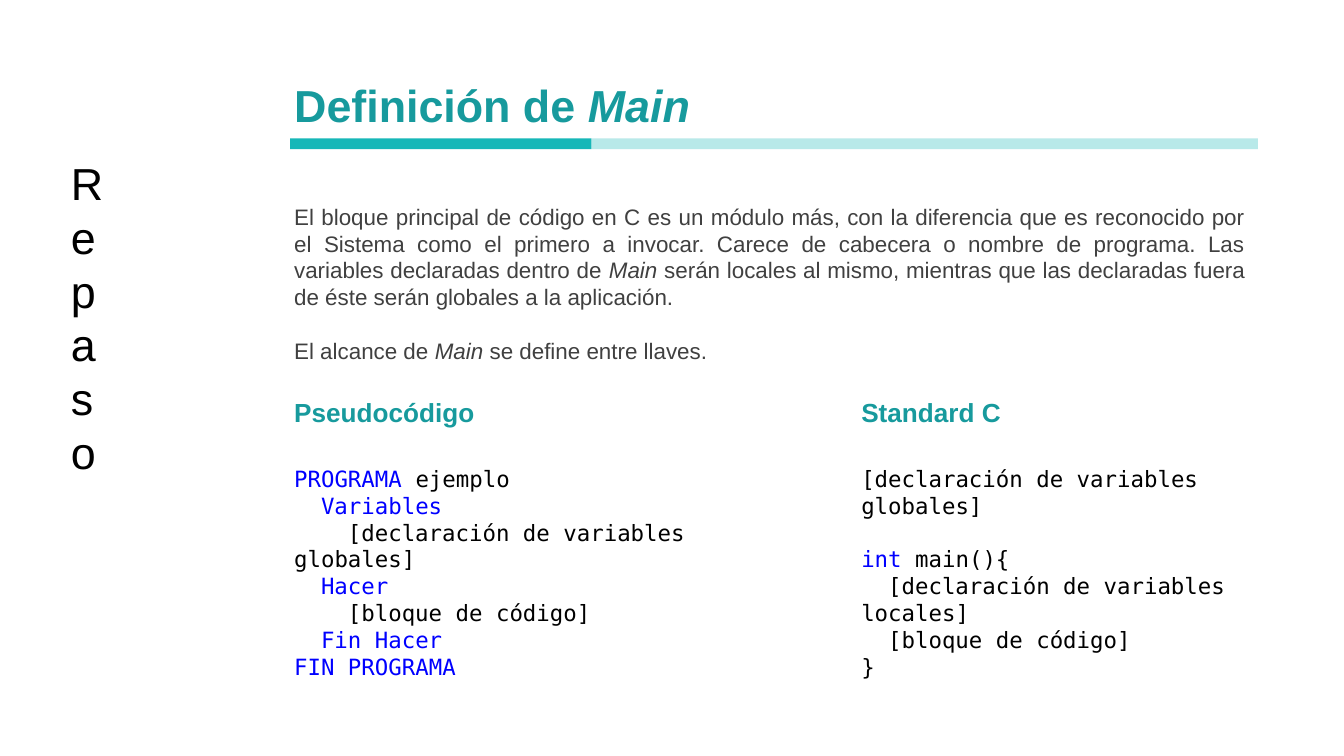
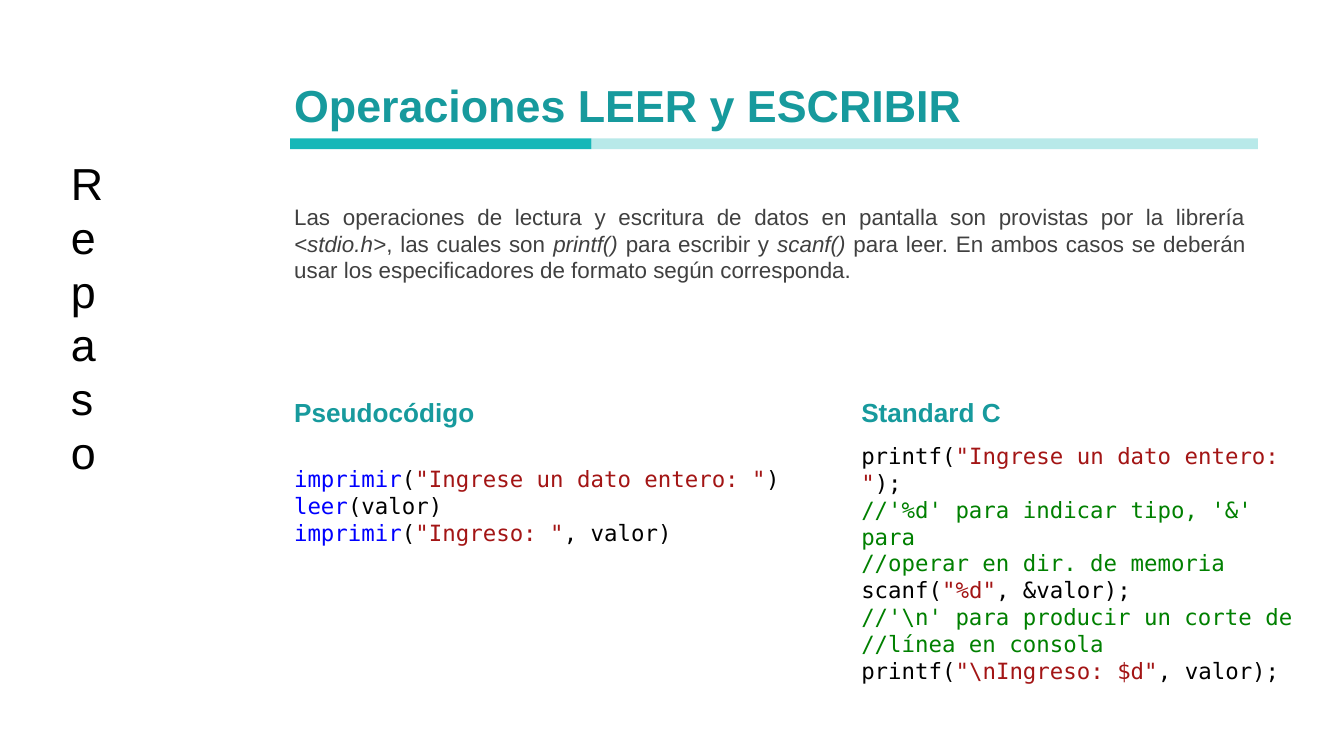
from pptx import Presentation
from pptx.dml.color import RGBColor
from pptx.enum.shapes import MSO_SHAPE
from pptx.enum.text import MSO_AUTO_SIZE, PP_ALIGN
from pptx.oxml.ns import qn
from pptx.util import Inches, Pt
from lxml import etree

COLORS = {
    "background": "FFFFFF",
    "bar": "16B7B8",
    "heading": "179A9D",
    "prose": "404040",
    "plain": "000000",
    "keyword": "0000FF",
    "string": "A31515",
    "comment": "008000",
}
SANS = "Arial"
MONO = "DejaVu Sans Mono"
LINE_FACTOR = 1.2
INDENT_STEP = 0.2

SECTION = "Repaso"
LEFT, RIGHT = 2.09, 6.31
WIDE = 7.28
BARS = [(2.24, None), (4.96, 30)]

SLIDES = [
    {
        "title": [("heading", "Definición de "), ("italic", "Main")],
        "prose": [
            [
                ("prose", "El bloque principal de código en C es un módulo más, con la "
                          "diferencia que es reconocido por el Sistema como el primero a "
                          "invocar. Carece de cabecera o nombre de programa. Las variables "
                          "declaradas dentro de "),
                ("italic", "Main"),
                ("prose", " serán locales al mismo, mientras que las declaradas fuera de "
                          "éste serán globales a la aplicación."),
            ],
            [("prose", "El alcance de "), ("italic", "Main"),
             ("prose", " se define entre llaves.")],
        ],
        "prose_height": 1.31,
        "code": [
            {
                "heading": "Pseudocódigo",
                "box": (LEFT, 3.41, 4.02, 1.51),
                "lines": [
                    (0, [("keyword", "PROGRAMA "), ("plain", "ejemplo")]),
                    (1, [("keyword", "Variables")]),
                    (2, [("plain", "[declaración de variables globales]")]),
                    (1, [("keyword", "Hacer")]),
                    (2, [("plain", "[bloque de código]")]),
                    (1, [("keyword", "Fin Hacer")]),
                    (0, [("keyword", "FIN PROGRAMA")]),
                ],
            },
            {
                "heading": "Standard C",
                "box": (RIGHT, 3.41, 3.52, 1.31),
                "gap_before": 1,
                "lines": [
                    (0, [("plain", "[declaración de variables globales]")]),
                    (0, [("keyword", "int "), ("plain", "main(){")]),
                    (1, [("plain", "[declaración de variables locales]")]),
                    (1, [("plain", "[bloque de código]")]),
                    (0, [("plain", "}")]),
                ],
            },
        ],
    },
    {
        "title": [("heading", "Operaciones LEER y ESCRIBIR")],
        "prose": [
            [
                ("prose", "Las operaciones de lectura y escritura de datos en pantalla son "
                          "provistas por la librería "),
                ("italic", "<stdio.h>"),
                ("prose", ", las cuales son "),
                ("italic", "printf() "),
                ("prose", "para escribir y "),
                ("italic", "scanf()"),
                ("prose", " para leer. En ambos casos se deberán usar los especificadores "
                          "de formato según corresponda."),
            ],
        ],
        "prose_height": 0.71,
        "code": [
            {
                "heading": "Pseudocódigo",
                "box": (LEFT, 3.41, 3.94, 0.71),
                "lines": [
                    (0, [("keyword", "imprimir"), ("plain", "("),
                         ("string", '"Ingrese un dato entero: "'), ("plain", ")")]),
                    (0, [("keyword", "leer"), ("plain", "(valor)")]),
                    (0, [("keyword", "imprimir"), ("plain", "("),
                         ("string", '"Ingreso: "'), ("plain", ", valor)")]),
                ],
            },
            {
                "heading": "Standard C",
                "box": (RIGHT, 3.24, 3.49, 1.51),
                "lines": [
                    (0, [("plain", "printf("), ("string", '"Ingrese un dato entero: "'),
                         ("plain", ");")]),
                    (0, [("comment", "//'%d' para indicar tipo, '&' para")]),
                    (0, [("comment", "//operar en dir. de memoria")]),
                    (0, [("plain", "scanf("), ("string", '"%d"'), ("plain", ", &valor);")]),
                    (0, [("comment", "//'\\n' para producir un corte de")]),
                    (0, [("comment", "//línea en consola")]),
                    (0, [("plain", "printf("), ("string", '"\\nIngreso: $d"'),
                         ("plain", ", valor);")]),
                ],
            },
        ],
    },
]


def rgb(name):
    return RGBColor.from_string(COLORS[name])


def add_text(slide, box, lines, base, size, font=SANS, bold=False,
             align=PP_ALIGN.LEFT, gap_before=None):
    shape = slide.shapes.add_textbox(*map(Inches, box))
    frame = shape.text_frame
    frame.word_wrap = True
    frame.auto_size = MSO_AUTO_SIZE.SHAPE_TO_FIT_TEXT
    for index, (level, runs) in enumerate(lines):
        paragraph = frame.paragraphs[0] if index == 0 else frame.add_paragraph()
        paragraph.alignment = align
        paragraph.line_spacing = Pt(size * LINE_FACTOR)
        if index == gap_before:
            paragraph.space_before = Pt(size * LINE_FACTOR)
        if level:
            properties = paragraph._p.get_or_add_pPr()
            properties.set("indent", str(Inches(level * INDENT_STEP)))
        for style, text in runs:
            run = paragraph.add_run()
            run.text = text
            run.font.name = font
            run.font.size = Pt(size)
            run.font.bold = bold
            run.font.italic = style == "italic"
            run.font.color.rgb = rgb(base if style == "italic" else style)
    return shape


def add_bars(slide):
    left = 2.16
    for width, opacity in BARS:
        bar = slide.shapes.add_shape(
            MSO_SHAPE.RECTANGLE, *map(Inches, (left, 1.03, width, 0.08)))
        bar.shadow.inherit = False
        bar.line.fill.background()
        bar.fill.solid()
        bar.fill.fore_color.rgb = rgb("bar")
        if opacity:
            color = bar._element.spPr.find(qn("a:solidFill")).find(qn("a:srgbClr"))
            etree.SubElement(color, qn("a:alpha")).set("val", str(opacity * 1000))
        left += width


def build_slide(presentation, content):
    slide = presentation.slides.add_slide(presentation.slide_layouts[6])
    slide.background.fill.solid()
    slide.background.fill.fore_color.rgb = rgb("background")

    add_text(slide, (LEFT, 1.46, WIDE, content["prose_height"]),
             [(0, runs) for runs in content["prose"]], "prose", 12,
             align=PP_ALIGN.JUSTIFY, gap_before=1)
    add_text(slide, (LEFT, 0.53, WIDE, 0.5), [(0, content["title"])],
             "heading", 24, bold=True)
    add_bars(slide)

    for code in content["code"]:
        add_text(slide, (code["box"][0], 2.9, 3.31, 0.34),
                 [(0, [("heading", code["heading"])])], "heading", 14, bold=True)
    for code in content["code"]:
        add_text(slide, code["box"], code["lines"], "plain", 12, font=MONO,
                 gap_before=code.get("gap_before"))

    section = add_text(slide, (0.43, 1.11, 0.64, 2.88),
                       [(0, [("plain", SECTION)])], "plain", 24)
    section.text_frame._txBody.bodyPr.set("vert", "wordArtVert")


def main():
    presentation = Presentation()
    presentation.slide_width = Inches(10)
    presentation.slide_height = presentation.slide_width * 9 // 16
    for content in SLIDES:
        build_slide(presentation, content)
    presentation.save("out.pptx")


if __name__ == "__main__":
    main()
